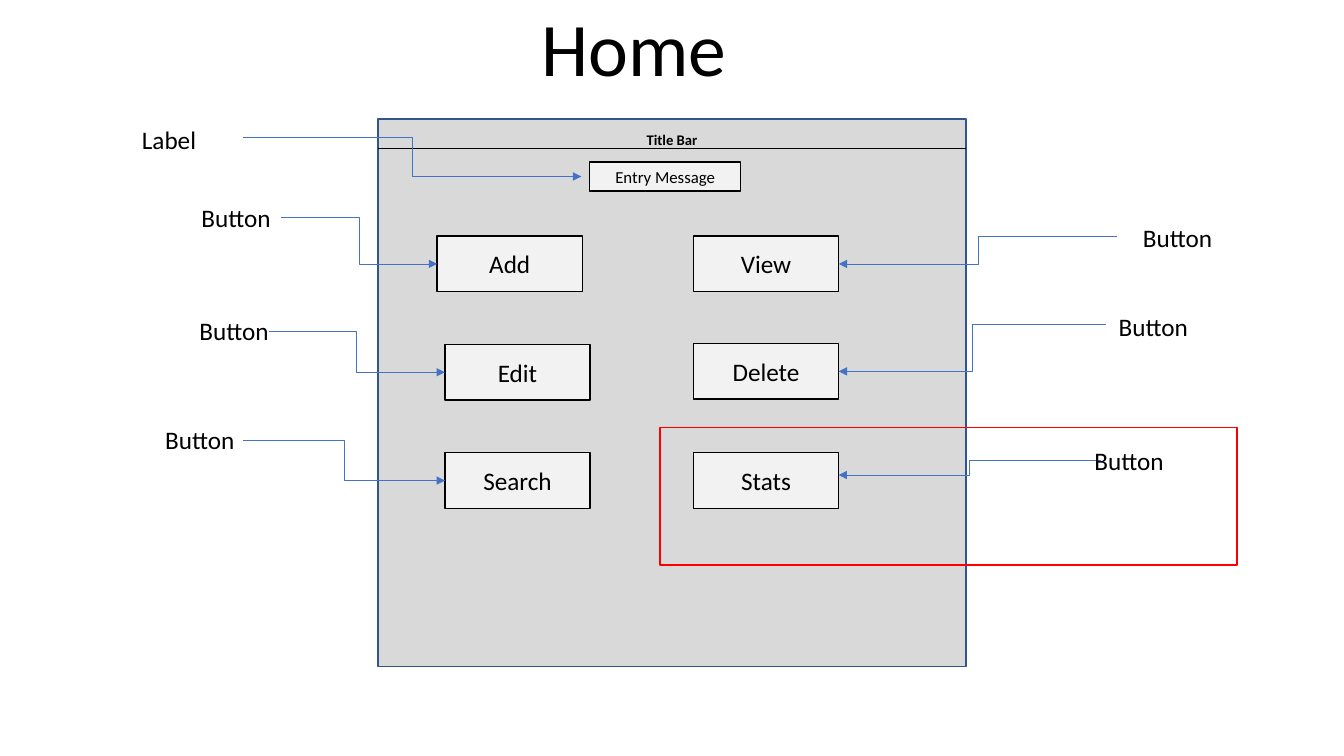
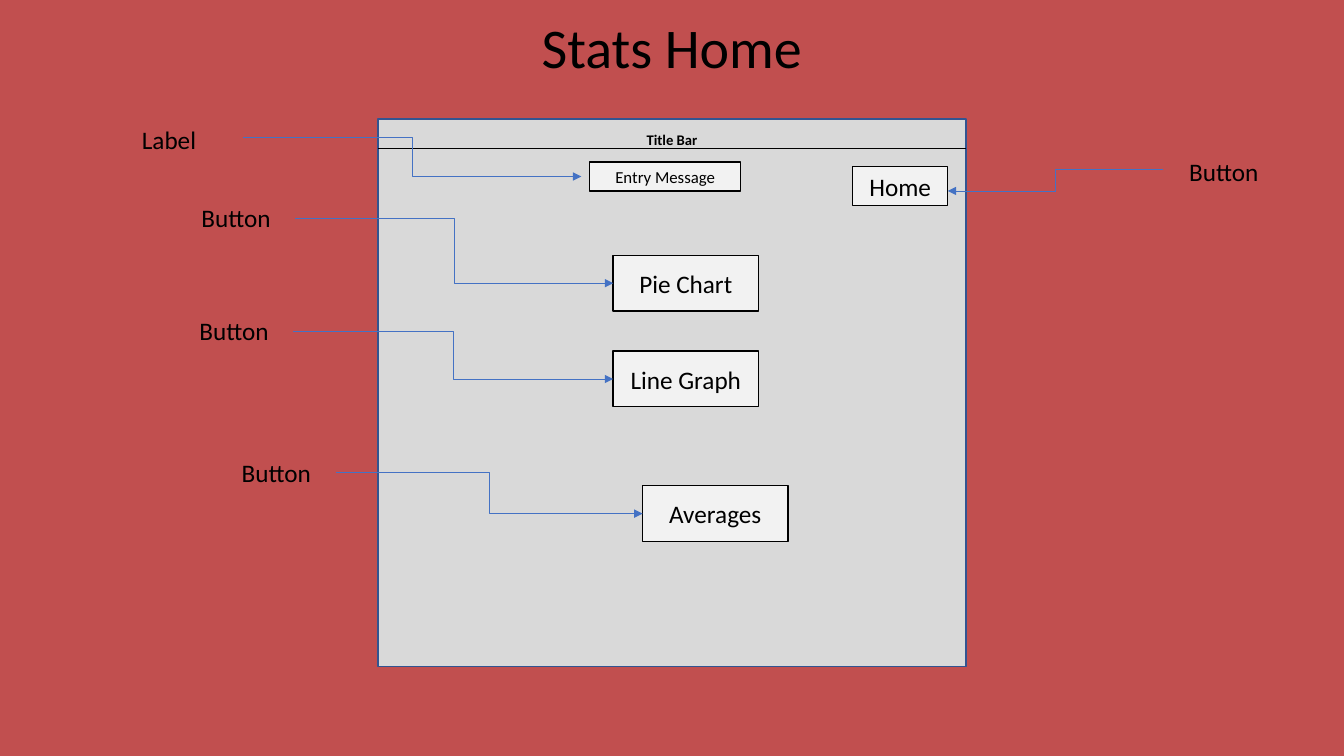
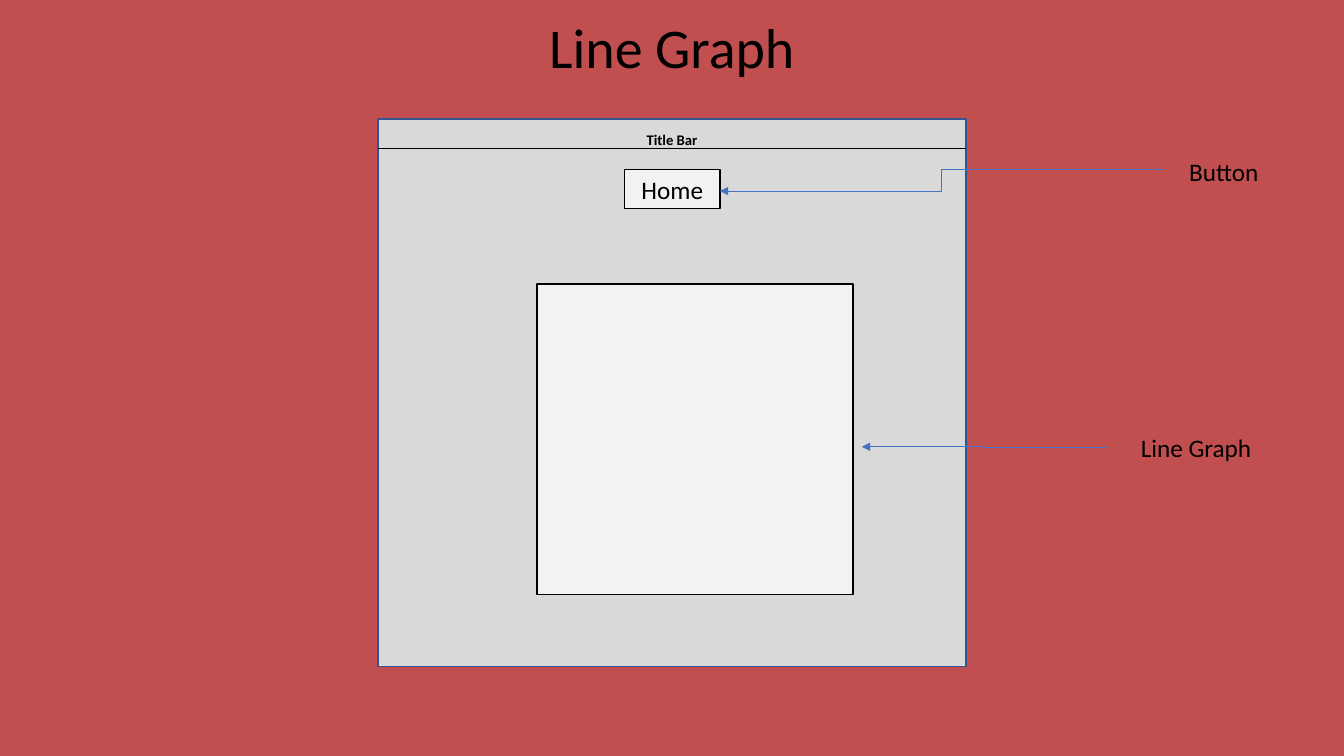
from dataclasses import dataclass

from lxml.etree import SubElement
from pptx import Presentation
from pptx.dml.color import RGBColor
from pptx.enum.shapes import MSO_CONNECTOR as Connector, MSO_SHAPE as Preset
from pptx.enum.text import MSO_ANCHOR as Anchor, MSO_AUTO_SIZE as AutoSize, PP_ALIGN as Align
from pptx.oxml.ns import qn
from pptx.util import Pt

FONT = "Calibri"
BLACK, WHITE, RED = "000000", "FFFFFF", "FF0000"
BRICK, WINDOW_GRAY, BUTTON_GRAY = "C14F4F", "D9D9D9", "F2F2F2"
WINDOW_EDGE, ARROW_BLUE = "325491", "4472C4"

WINDOW = (270, 85, 420, 391)
TITLE_BAR_TEXT = (270, 90, 420, 21)
TITLE_BAR_BOTTOM = 105.7
BUTTON = (103.8, 39.8)
SMALL_BUTTON = (68, 28)
GRAPH = (225.6, 221.8)
LABEL_HEIGHT = 29


@dataclass
class Control:
    """A box in the window, with its label outside and the arrow between them."""
    text: str
    corner: tuple
    label_corner: tuple
    arrow_start: tuple
    label: str = "Button"
    label_width: float = 74.2
    size: tuple = BUTTON
    font_size: float = 18
    gap: float = 0        # space between arrow tip and box
    tip_shift: float = 0  # arrow tip below (+) or above (-) the box middle


ENTRY_MESSAGE = Control("Entry Message", (421.2, 115.8), (94.3, 85), (173.5, 98), "Label",
                        size=(108, 20.6), font_size=12, gap=6)

SLIDES = [
    dict(title="Home", title_size=54, title_box=(270, 25.2, 365.8, 44.6),
         background=WHITE, frame=(471.6, 305.5, 412, 98),
         controls=[
             ENTRY_MESSAGE,
             Control("Add", (312.2, 168.6), (136.8, 141), (201, 155.5)),
             Control("View", (495.3, 168.6), (809.3, 155.2), (798, 168.8)),
             Control("Edit", (317.8, 246), (135.4, 221.8), (192, 236.8)),
             Control("Delete", (495.3, 245.4), (792, 219), (790, 231.4)),
             Control("Search", (317.8, 323.4), (110.9, 299.5), (173.5, 314.5)),
             Control("Stats", (495.3, 323.4), (774.7, 314.6), (786.3, 329), tip_shift=-4),
         ]),
    dict(title="Stats Home", title_size=40, title_box=(263.5, -22.3, 432.7, 83.5),
         background=BRICK, frame=None,
         controls=[
             ENTRY_MESSAGE,
             Control("Pie Chart", (438, 182.4), (136.8, 141), (211, 156)),
             Control("Line Graph", (438, 250.8), (135.4, 221.8), (209.5, 236.5)),
             Control("Averages", (459, 347), (165.6, 323.3), (240, 337.5)),
             Control("Home", (609, 118.9), (842.4, 108), (831, 121.3),
                     size=SMALL_BUTTON, tip_shift=3.5),
         ]),
    dict(title="Line Graph", title_size=40, title_box=(263.5, -22.3, 432.7, 83.5),
         background=BRICK, frame=None,
         controls=[
             Control("Home", (446.2, 121), (842.4, 108), (831, 121.3),
                     size=SMALL_BUTTON, tip_shift=1.5),
             Control("", (383.6, 202.9), (807.8, 305.3), (791.3, 319.7), "Line Graph", 100.8,
                     size=GRAPH, gap=6.4, tip_shift=5.4),
         ]),
]


def color(value):
    """Turn a hex string into a colour."""
    return RGBColor.from_string(value)


def write(shape, text, size=18, bold=False, align=Align.CENTER, anchor=Anchor.MIDDLE, spacing=None):
    """Put one formatted paragraph into a shape."""
    frame = shape.text_frame
    frame.word_wrap = True
    frame.auto_size = AutoSize.NONE
    frame.vertical_anchor = anchor
    paragraph = frame.paragraphs[0]
    paragraph.alignment = align
    paragraph.line_spacing = spacing
    run = paragraph.add_run()
    run.text = text
    run.font.name, run.font.size, run.font.bold = FONT, Pt(size), bold
    run.font.color.rgb = color(BLACK)


def add_text(slide, box, text, **style):
    """Add a text box."""
    write(slide.shapes.add_textbox(*map(Pt, box)), text, anchor=Anchor.TOP, **style)


def add_rectangle(slide, box, fill, line):
    """Add a rectangle with a thin outline; fill None leaves it open."""
    shape = slide.shapes.add_shape(Preset.RECTANGLE, *map(Pt, box))
    shape.shadow.inherit = False
    if fill:
        shape.fill.solid()
        shape.fill.fore_color.rgb = color(fill)
    else:
        shape.fill.background()
    shape.line.color.rgb = color(line)
    shape.line.width = Pt(1)
    return shape


def add_line(slide, start, end, line, kind=Connector.STRAIGHT, arrow=False):
    """Add a hairline connector, with an arrowhead at its end if asked."""
    connector = slide.shapes.add_connector(kind, *map(Pt, (*start, *end)))
    connector.line.color.rgb = color(line)
    connector.line.width = Pt(0.5)
    properties = connector._element.spPr
    if arrow:
        SubElement(properties.find(qn("a:ln")), qn("a:tailEnd"), type="triangle")
    SubElement(properties, qn("a:effectLst"))


def add_window(slide):
    """Draw the application window and its title bar."""
    left, _, width, _ = WINDOW
    add_rectangle(slide, WINDOW, WINDOW_GRAY, WINDOW_EDGE)
    add_line(slide, (left, TITLE_BAR_BOTTOM), (left + width, TITLE_BAR_BOTTOM), BLACK)
    add_text(slide, TITLE_BAR_TEXT, "Title Bar", size=10.5, bold=True)


def add_control(slide, control):
    """Draw a control, its label and an arrow to the side facing the label."""
    (left, top), (width, height) = control.corner, control.size
    shape = add_rectangle(slide, (left, top, width, height), BUTTON_GRAY, BLACK)
    if control.text:
        write(shape, control.text, size=control.font_size)
    from_left = control.arrow_start[0] < left
    tip_x = left - control.gap if from_left else left + width + control.gap
    tip = (tip_x, top + height / 2 + control.tip_shift)
    add_line(slide, control.arrow_start, tip, ARROW_BLUE, kind=Connector.ELBOW, arrow=True)
    add_text(slide, (*control.label_corner, control.label_width, LABEL_HEIGHT),
             control.label, align=Align.LEFT)


def add_slide(presentation, content):
    """Build one wireframe slide."""
    slide = presentation.slides.add_slide(presentation.slide_layouts[0])
    subtitle = slide.placeholders[1]._element
    subtitle.getparent().remove(subtitle)
    slide.background.fill.solid()
    slide.background.fill.fore_color.rgb = color(content["background"])
    title = slide.shapes.title
    title.left, title.top, title.width, title.height = map(Pt, content["title_box"])
    write(title, content["title"], size=content["title_size"], anchor=Anchor.BOTTOM, spacing=0.9)
    add_window(slide)
    for control in content["controls"]:
        add_control(slide, control)
    if content["frame"]:
        add_rectangle(slide, content["frame"], None, RED)


presentation = Presentation()
presentation.slide_width, presentation.slide_height = Pt(960), Pt(540)
for content in SLIDES:
    add_slide(presentation, content)
presentation.save("out.pptx")
